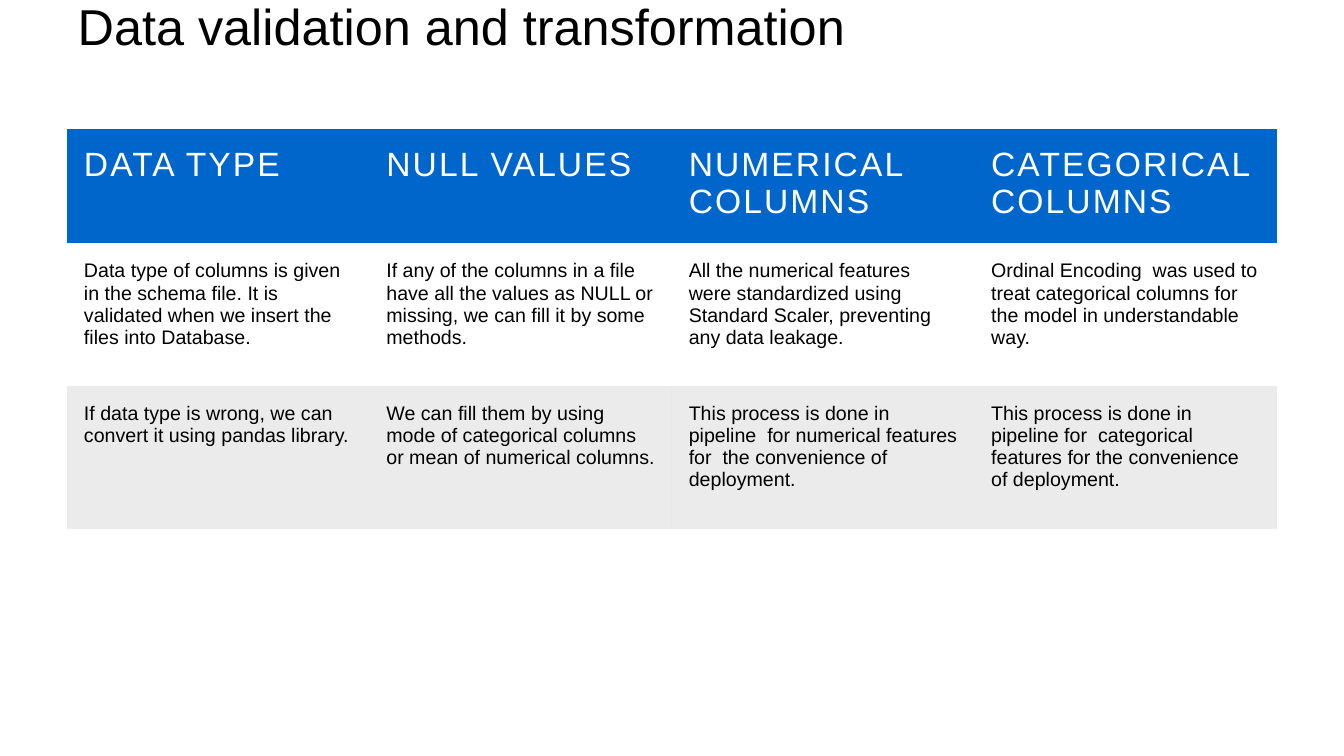
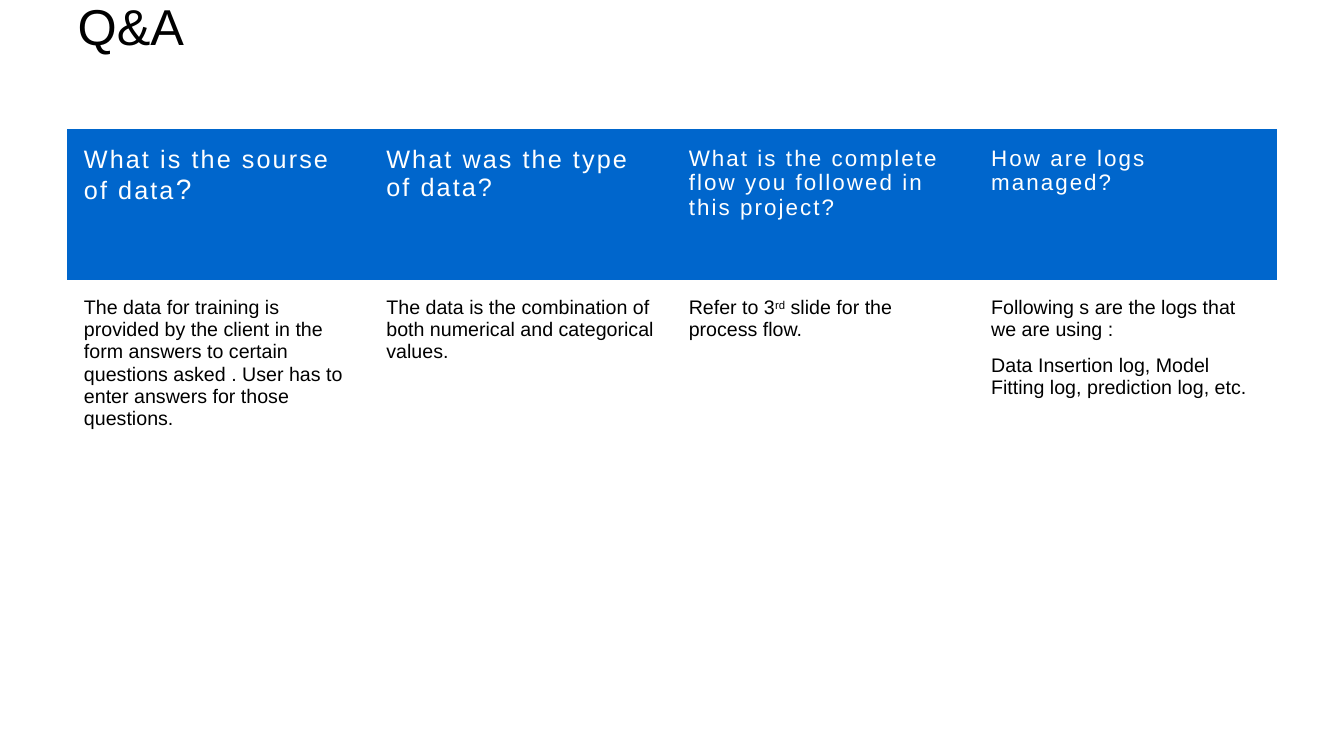
import dataclasses
import typing

import lxml.etree
import pptx
import pptx.dml.color
import pptx.enum.text
import pptx.oxml.ns
import pptx.presentation
import pptx.shapes.graphfrm
import pptx.slide
import pptx.table
import pptx.text.text
import pptx.util

EMU_PER_PX = 9525


def px(length: int) -> pptx.util.Emu:
    return pptx.util.Emu(length * EMU_PER_PX)


@dataclasses.dataclass(frozen=True)
class Theme:
    font: str = "Arial"
    ink: str = "000000"
    paper: str = "FFFFFF"
    header_fill: str = "0066CC"
    band_fill: str = "000000"
    band_alpha_percent: int = 8
    title_size: int = 36
    header_size: int = 24
    question_size: int = 18
    question_mark_size: int = 20
    long_question_size: int = 16
    body_size: int = 14
    header_tracking: float = 1.5
    superscript_percent: int = 30
    paragraph_gap: float = 9.6
    table_style: str = "{2D5ABB26-0587-4C30-8999-92F81FD0307C}"


@dataclasses.dataclass(frozen=True)
class Layout:
    width: int = 1280
    height: int = 720
    margin: int = 64
    title_top: int = 0
    title_height: int = 48
    title_inset: int = 10
    table_top: int = 123
    cell_inset: int = 16

    @property
    def content_width(self) -> int:
        return self.width - 2 * self.margin


THEME = Theme()
LAYOUT = Layout()


@dataclasses.dataclass(frozen=True)
class Span:
    text: str
    size: int = THEME.body_size
    color: str = THEME.ink
    tracking: float = 0
    superscript: bool = False


Paragraph = tuple[Span, ...]
Cell = tuple[Paragraph, ...]


@dataclasses.dataclass(frozen=True)
class Row:
    height: int
    cells: tuple[Cell, ...]
    fill: typing.Optional[str] = None
    alpha_percent: int = 100


@dataclasses.dataclass(frozen=True)
class TablePage:
    title: str
    rows: tuple[Row, ...]


def heading(text: str, size: int = THEME.header_size) -> Span:
    return Span(text, size, THEME.paper, THEME.header_tracking)


def cell_of(*spans: Span) -> Cell:
    return (spans,)


def body_cells(*texts: str) -> tuple[Cell, ...]:
    return tuple(cell_of(Span(text)) for text in texts)


PAGES = (
    TablePage(
        "Data validation and transformation",
        (
            Row(
                104,
                tuple(
                    cell_of(heading(text))
                    for text in (
                        "DATA TYPE",
                        "NULL VALUES",
                        "NUMERICAL COLUMNS",
                        "CATEGORICAL COLUMNS",
                    )
                ),
                THEME.header_fill,
            ),
            Row(
                136,
                body_cells(
                    "Data type of columns is given in the schema file. It is validated when we insert the files into Database.",
                    "If any of the columns in a file have all the values as NULL or missing, we can fill it by some methods.",
                    "All the numerical features were standardized using Standard Scaler, preventing any data leakage.",
                    "Ordinal Encoding  was used to treat categorical columns for the model in understandable way.",
                ),
            ),
            Row(
                136,
                body_cells(
                    "If data type is wrong, we can convert it using pandas library.",
                    "We can fill them by using mode of categorical columns or mean of numerical columns.",
                    "This process is done in pipeline  for numerical features for  the convenience of deployment.",
                    "This process is done in pipeline for  categorical features for the convenience of deployment.",
                ),
                THEME.band_fill,
                THEME.band_alpha_percent,
            ),
        ),
    ),
    TablePage(
        "Q&A",
        (
            Row(
                144,
                (
                    cell_of(
                        heading("What is the sourse of data", THEME.question_size),
                        heading("?", THEME.question_mark_size),
                    ),
                    cell_of(heading("What was the type of data?", THEME.question_size)),
                    cell_of(
                        heading(
                            "What is the complete flow you followed in this project?",
                            THEME.long_question_size,
                        )
                    ),
                    cell_of(heading("How are logs managed?", THEME.long_question_size)),
                ),
                THEME.header_fill,
            ),
            Row(
                203,
                (
                    *body_cells(
                        "The data for training is provided by the client in the form answers to certain questions asked . User has to enter answers for those questions.",
                        "The data is the combination of both numerical and categorical values.",
                    ),
                    cell_of(
                        Span("Refer to 3"),
                        Span("rd", superscript=True),
                        Span(" slide for the process flow."),
                    ),
                    (
                        (Span("Following s are the logs that we are using :"),),
                        (Span("Data Insertion log, Model Fitting log, prediction log, etc."),),
                    ),
                ),
            ),
        ),
    ),
)


def add_span(para: pptx.text.text._Paragraph, span: Span) -> None:
    run = para.add_run()
    run.text = span.text
    run.font.name = THEME.font
    run.font.size = pptx.util.Pt(span.size)
    run.font.color.rgb = pptx.dml.color.RGBColor.from_string(span.color)
    properties = run._r.get_or_add_rPr()
    if span.tracking:
        properties.set("spc", str(round(span.tracking * 100)))
    if span.superscript:
        properties.set("baseline", str(THEME.superscript_percent * 1000))


def fill_text(frame: pptx.text.text.TextFrame, paragraphs: Cell) -> None:
    for index, spans in enumerate(paragraphs):
        para = frame.add_paragraph() if index else frame.paragraphs[0]
        if index:
            para.space_before = pptx.util.Pt(THEME.paragraph_gap)
        for span in spans:
            add_span(para, span)


def fill_cell(cell: pptx.table._Cell, row: Row) -> None:
    if row.fill is None:
        cell.fill.background()
        return
    cell.fill.solid()
    cell.fill.fore_color.rgb = pptx.dml.color.RGBColor.from_string(row.fill)
    if row.alpha_percent < 100:
        color = cell._tc.find(".//" + pptx.oxml.ns.qn("a:tcPr")).find(
            ".//" + pptx.oxml.ns.qn("a:srgbClr")
        )
        alpha = lxml.etree.SubElement(color, pptx.oxml.ns.qn("a:alpha"))
        alpha.set("val", str(row.alpha_percent * 1000))


def add_title(page: pptx.slide.Slide, text: str) -> None:
    box = page.shapes.add_textbox(
        px(LAYOUT.margin),
        px(LAYOUT.title_top),
        px(LAYOUT.content_width),
        px(LAYOUT.title_height),
    )
    frame = box.text_frame
    frame.word_wrap = True
    frame.vertical_anchor = pptx.enum.text.MSO_ANCHOR.MIDDLE
    frame.margin_left = frame.margin_right = px(LAYOUT.title_inset)
    frame.margin_top = frame.margin_bottom = 0
    fill_text(frame, cell_of(Span(text, THEME.title_size)))


def add_grid(page: pptx.slide.Slide, rows: tuple[Row, ...]) -> None:
    column_count = len(rows[0].cells)
    holder = page.shapes.add_table(
        len(rows),
        column_count,
        px(LAYOUT.margin),
        px(LAYOUT.table_top),
        px(LAYOUT.content_width),
        px(sum(row.height for row in rows)),
    )
    holder.element.find(".//" + pptx.oxml.ns.qn("a:tableStyleId")).text = THEME.table_style
    table = holder.table
    table.horz_banding = False
    for column in table.columns:
        column.width = px(LAYOUT.content_width // column_count)
    inset = px(LAYOUT.cell_inset)
    for row_index, row in enumerate(rows):
        table.rows[row_index].height = px(row.height)
        for column_index, paragraphs in enumerate(row.cells):
            cell = table.cell(row_index, column_index)
            cell.margin_left = cell.margin_right = inset
            cell.margin_top = cell.margin_bottom = inset
            fill_cell(cell, row)
            fill_text(cell.text_frame, paragraphs)


def add_page(deck: pptx.presentation.Presentation, content: TablePage) -> None:
    page = deck.slides.add_slide(deck.slide_layouts[6])
    page.background.fill.solid()
    page.background.fill.fore_color.rgb = pptx.dml.color.RGBColor.from_string(THEME.paper)
    add_title(page, content.title)
    add_grid(page, content.rows)


def main() -> None:
    deck = pptx.Presentation()
    deck.slide_width = px(LAYOUT.width)
    deck.slide_height = px(LAYOUT.height)
    for content in PAGES:
        add_page(deck, content)
    deck.save("out.pptx")


if __name__ == "__main__":
    main()
